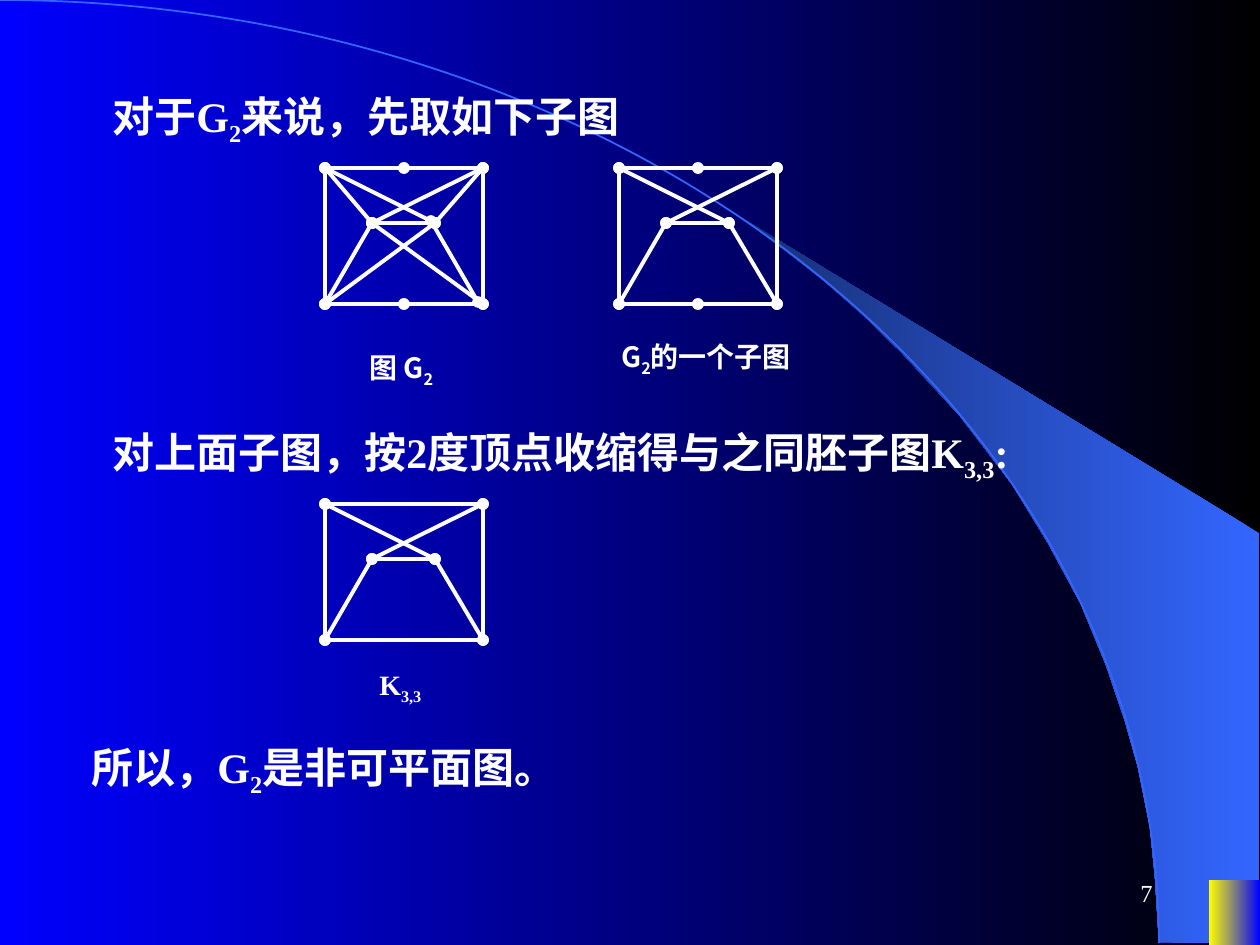
from lxml.etree import SubElement
from pptx import Presentation
from pptx.dml.color import RGBColor
from pptx.enum.shapes import MSO_CONNECTOR, MSO_SHAPE
from pptx.enum.text import MSO_ANCHOR, PP_ALIGN
from pptx.oxml.ns import qn
from pptx.util import Inches, Pt

PX = Inches(10) // 1260
SERIF = "Times New Roman"
SANS = "Noto Sans CJK SC"
hex_color = RGBColor.from_string


def write_text(shapes, text, box, size, font=SERIF, bold=True, indent=0,
               align=PP_ALIGN.LEFT, anchor=MSO_ANCHOR.TOP):
    """Parts between underscores are set as subscripts."""
    frame = shapes.add_textbox(*[side * PX for side in box]).text_frame
    frame.word_wrap = True
    frame.vertical_anchor = anchor
    paragraph = frame.paragraphs[0]
    paragraph.alignment = align
    if indent:
        paragraph._p.get_or_add_pPr().set("marL", str(indent * PX))
    for position, part in enumerate(text.split("_")):
        if not part:
            continue
        run = paragraph.add_run()
        run.text = part
        run.font.size = Pt(size)
        run.font.bold = bold
        run.font.name = font
        run.font.color.rgb = hex_color("FFFFFF")
        properties = run._r.get_or_add_rPr()
        SubElement(properties, qn("a:ea")).set("typeface", SANS)
        if position % 2:
            properties.set("baseline", "-25000")


presentation = Presentation()
presentation.slide_width = Inches(10)
presentation.slide_height = Inches(7.5)
slide = presentation.slides.add_slide(presentation.slide_layouts[6])

inner_edge = [(786, 251), (823, 280), (863, 315), (902, 353), (960, 416),
              (1012, 484), (1048, 543), (1081, 604), (1106, 665), (1125, 721),
              (1138, 767), (1150, 827), (1155, 877), (1159, 942)]
outer_edge = [(1259, 944), (1259, 533)]
beam_builder = slide.shapes.build_freeform(742, 218, scale=PX)
beam_builder.add_line_segments(inner_edge + outer_edge, close=True)
beam = beam_builder.convert_to_shape()

horizon = slide.shapes.add_shape(
    MSO_SHAPE.ARC, -1159 * PX, 0, 2318 * PX, 1886 * PX)
horizon.shadow.inherit = False
horizon.fill.background()
horizon.line.color.rgb = hex_color("3366FF")
horizon.line.width = Pt(1)

corner = slide.shapes.add_shape(
    MSO_SHAPE.RECTANGLE, 1209 * PX, 880 * PX, 51 * PX, 65 * PX)

for decoration in (beam, corner):
    decoration.shadow.inherit = False
    decoration.line.fill.background()

for fill, right, left in [
    (slide.background.fill, "000000", "0000FF"),
    (beam.fill, "3366FF", "172F75"),
    (corner.fill, "0000FF", "FFFF00"),
]:
    fill.gradient()
    fill.gradient_angle = 180
    for stop, shade in zip(fill.gradient_stops, (right, left)):
        stop.color.rgb = hex_color(shade)

for sentence, left, top in [
    ("对于G_2_来说，先取如下子图", 53, 84),
    ("对上面子图，按2度顶点收缩得与之同胚子图K_3,3_:", 53, 420),
    ("所以，G_2_是非可平面图。", 32, 735),
]:
    write_text(slide.shapes, sentence, (left, top, 1040, 70), 24, indent=47)

vertices = {
    "a": (0, 0), "b": (79, 0), "c": (158, 0),
    "d": (47, 55), "e": (110, 55),
    "f": (0, 136), "g": (79, 136), "h": (158, 136),
    "i": (106, 53), "j": (153, 134),
}
core = ["af", "ch", "de", "ae", "dc", "df"]
halves = ["ab", "bc", "fg", "gh"]
graphs = [
    (325, 168, core + halves + ["ij", "ad", "ce", "dh", "ef"],
     "图 G_2_", (357, 344, 95, 53), SANS, PP_ALIGN.JUSTIFY),
    (619, 168, core + halves + ["eh"],
     "G_2_的一个子图", (609, 333, 210, 53), SANS, PP_ALIGN.JUSTIFY),
    (325, 504, core + ["eh", "ac", "fh"],
     "K_3,3_", (367, 661, 105, 52), SERIF, PP_ALIGN.LEFT),
]
for left, top, edges, caption, caption_box, font, align in graphs:
    graph = slide.shapes.add_group_shape()
    for start, end in edges:
        (x1, y1), (x2, y2) = vertices[start], vertices[end]
        edge = graph.shapes.add_connector(
            MSO_CONNECTOR.STRAIGHT, (left + x1) * PX, (top + y1) * PX,
            (left + x2) * PX, (top + y2) * PX)
        edge.line.color.rgb = hex_color("FFFFFF")
        edge.line.width = Pt(2.25)
        for tip in ("a:headEnd", "a:tailEnd"):
            SubElement(edge.get_or_add_ln(), qn(tip)).set("type", "oval")
        SubElement(edge._element.spPr, qn("a:effectLst"))
    write_text(graph.shapes, caption, caption_box, 16, font=font, align=align)

write_text(slide.shapes, "7", (903, 861, 262, 63), 14, bold=False,
           align=PP_ALIGN.RIGHT, anchor=MSO_ANCHOR.MIDDLE)

presentation.save("out.pptx")
